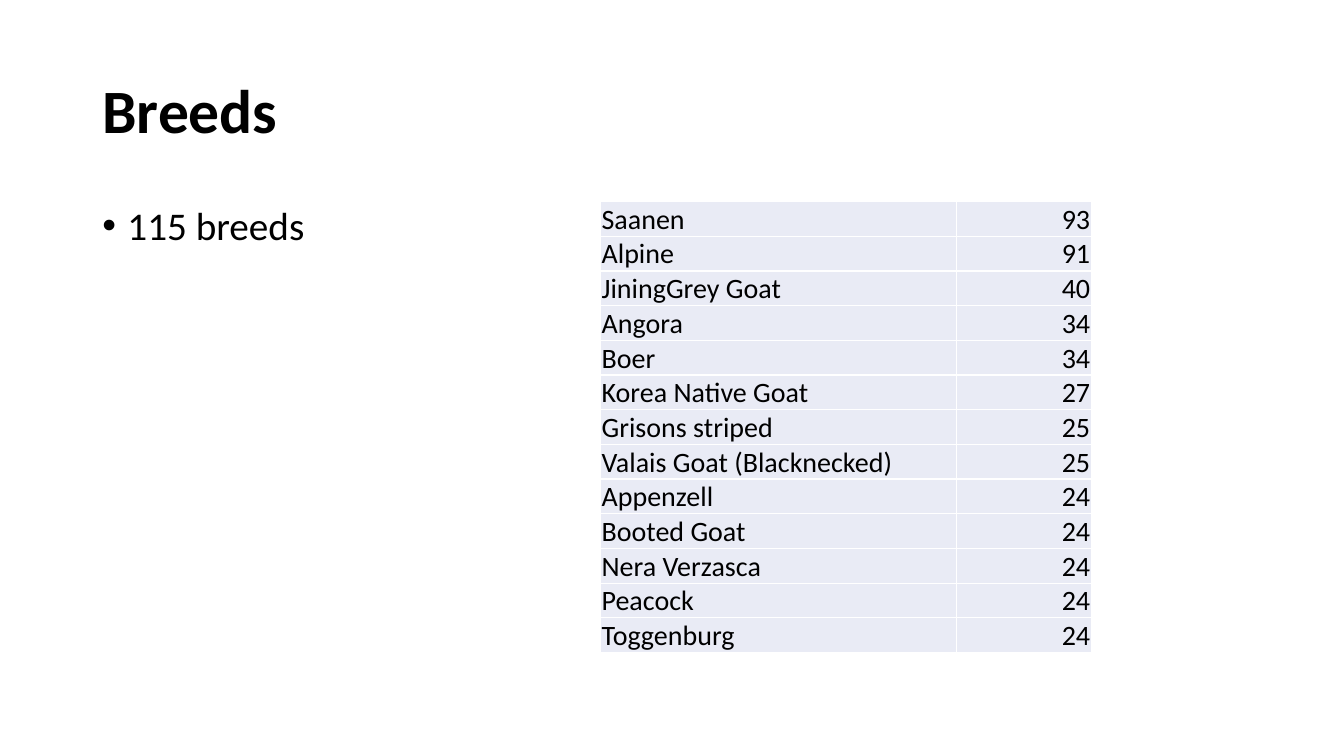
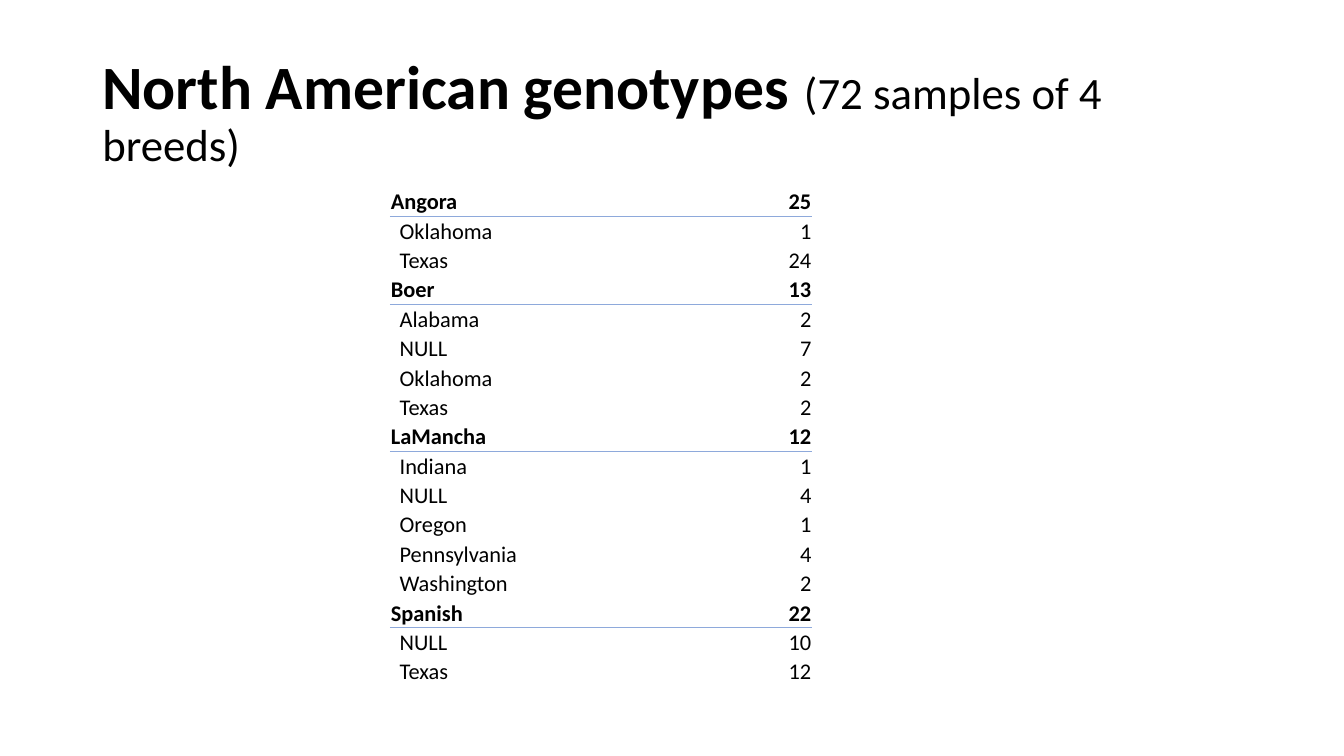
from dataclasses import dataclass

from lxml import etree
from pptx import Presentation
from pptx.dml.color import RGBColor
from pptx.enum import text as t
from pptx.oxml import ns
from pptx.util import Pt

FONT = "Calibri"
INK = "000000"
ROW_FILL = "E9EBF5"
GRID = "FFFFFF"
RULE = "8EA9DB"
LEFT, WIDTH = 66, 828
EDGES = ("L", "R", "T", "B")
CELL_INSET = 0.75
STATE_INDENT = 7


@dataclass(frozen=True)
class Span:
    text: str
    size: float
    bold: bool = False


@dataclass(frozen=True)
class Row:
    label: str
    count: int


@dataclass(frozen=True)
class Group:
    breed: Row
    states: tuple[Row, ...]


@dataclass(frozen=True)
class Layout:
    left: float
    top: float
    columns: tuple[float, float]
    row_height: float


BREEDS = (
    Row("Saanen", 93),
    Row("Alpine", 91),
    Row("JiningGrey Goat", 40),
    Row("Angora", 34),
    Row("Boer", 34),
    Row("Korea Native Goat", 27),
    Row("Grisons striped", 25),
    Row("Valais Goat (Blacknecked)", 25),
    Row("Appenzell", 24),
    Row("Booted Goat", 24),
    Row("Nera Verzasca", 24),
    Row("Peacock", 24),
    Row("Toggenburg", 24),
)

GENOTYPES = (
    Group(Row("Angora", 25), (Row("Oklahoma", 1), Row("Texas", 24))),
    Group(Row("Boer", 13), (Row("Alabama", 2), Row("NULL", 7),
                            Row("Oklahoma", 2), Row("Texas", 2))),
    Group(Row("LaMancha", 12), (Row("Indiana", 1), Row("NULL", 4), Row("Oregon", 1),
                                Row("Pennsylvania", 4), Row("Washington", 2))),
    Group(Row("Spanish", 22), (Row("NULL", 10), Row("Texas", 12))),
)


def colour(value: str) -> RGBColor:
    return RGBColor.from_string(value)


def add_span(para, span: Span) -> None:
    run = para.add_run()
    run.text = span.text
    run.font.name = FONT
    run.font.size = Pt(span.size)
    run.font.bold = span.bold
    run.font.color.rgb = colour(INK)


def add_box(page, top: float, height: float, anchor):
    """Add a wrapping full-width text box and return its first paragraph."""
    box = page.shapes.add_textbox(Pt(LEFT), Pt(top), Pt(WIDTH), Pt(height))
    frame = box.text_frame
    frame.word_wrap = True
    frame.vertical_anchor = anchor
    para = frame.paragraphs[0]
    para.line_spacing = 0.9
    return para


def add_page(deck, *title: Span):
    page = deck.slides.add_slide(deck.slide_layouts[6])
    para = add_box(page, 28.75, 104.5, t.MSO_ANCHOR.MIDDLE)
    for span in title:
        add_span(para, span)
    return page


def add_bullet(para, indent: float) -> None:
    properties = para._p.get_or_add_pPr()
    properties.set("marL", str(Pt(indent)))
    properties.set("indent", str(-Pt(indent)))
    etree.SubElement(properties, ns.qn("a:buFont"), typeface="Arial")
    etree.SubElement(properties, ns.qn("a:buChar"), char="•")


def set_border(cell, edge: str, line: str | None, width: float) -> None:
    """Draw one cell edge, or switch it off when line is None."""
    border = etree.SubElement(cell._tc.get_or_add_tcPr(), ns.qn(f"a:ln{edge}"),
                              w=str(Pt(width)))
    if line is None:
        etree.SubElement(border, ns.qn("a:noFill"))
    else:
        fill = etree.SubElement(border, ns.qn("a:solidFill"))
        etree.SubElement(fill, ns.qn("a:srgbClr"), val=line)


def add_table(page, layout: Layout, row_count: int):
    frame = page.shapes.add_table(
        row_count, len(layout.columns), Pt(layout.left), Pt(layout.top),
        Pt(sum(layout.columns)), Pt(layout.row_height * row_count))
    table = frame.table
    table.first_row = table.horz_banding = False
    for column, width in zip(table.columns, layout.columns):
        column.width = Pt(width)
    for row in table.rows:
        row.height = Pt(layout.row_height)
    return table


def fill_row(cells, row: Row, size: float, borders: dict[str, str], width: float,
             fill: str | None = None, bold: bool = False, indent: float = CELL_INSET) -> None:
    """Write a label and its right-aligned count, with borders and fill."""
    columns = ((row.label, t.PP_ALIGN.LEFT, indent),
               (str(row.count), t.PP_ALIGN.RIGHT, CELL_INSET))
    for cell, (content, alignment, inset) in zip(cells, columns):
        cell.vertical_anchor = t.MSO_ANCHOR.BOTTOM
        cell.margin_left = Pt(inset)
        cell.margin_top = cell.margin_right = Pt(CELL_INSET)
        cell.margin_bottom = Pt(0)
        for edge in EDGES:
            set_border(cell, edge, borders.get(edge), width)
        if fill is None:
            cell.fill.background()
        else:
            cell.fill.solid()
            cell.fill.fore_color.rgb = colour(fill)
        para = cell.text_frame.paragraphs[0]
        para.alignment = alignment
        add_span(para, Span(content, size, bold))


def add_breeds(deck) -> None:
    page = add_page(deck, Span("Breeds", 44, True))
    para = add_box(page, 143.75, 342.75, t.MSO_ANCHOR.TOP)
    add_bullet(para, 18)
    add_span(para, Span("115 breeds", 28))
    table = add_table(page, Layout(429, 144, (254.5, 96), 24.75), len(BREEDS))
    for cells, breed in zip(table.rows, BREEDS):
        fill_row(cells.cells, breed, 20, dict.fromkeys(EDGES, GRID), 1, ROW_FILL)


def add_genotypes(deck) -> None:
    page = add_page(deck, Span("North American genotypes ", 44, True),
                    Span("(72 samples of 4 breeds)", 32))
    row_count = sum(1 + len(group.states) for group in GENOTYPES)
    table = add_table(page, Layout(278.5, 133.25, (178, 123.75), 21), row_count)
    rows = iter(table.rows)
    for group in GENOTYPES:
        fill_row(next(rows).cells, group.breed, 16, {"B": RULE}, 0.5, bold=True)
        for position, state in enumerate(group.states):
            borders = {"T": RULE} if position == 0 else {}
            fill_row(next(rows).cells, state, 16, borders, 0.5, indent=STATE_INDENT)


def main() -> None:
    deck = Presentation()
    deck.slide_width, deck.slide_height = Pt(960), Pt(540)
    add_breeds(deck)
    add_genotypes(deck)
    deck.save("out.pptx")


if __name__ == "__main__":
    main()
